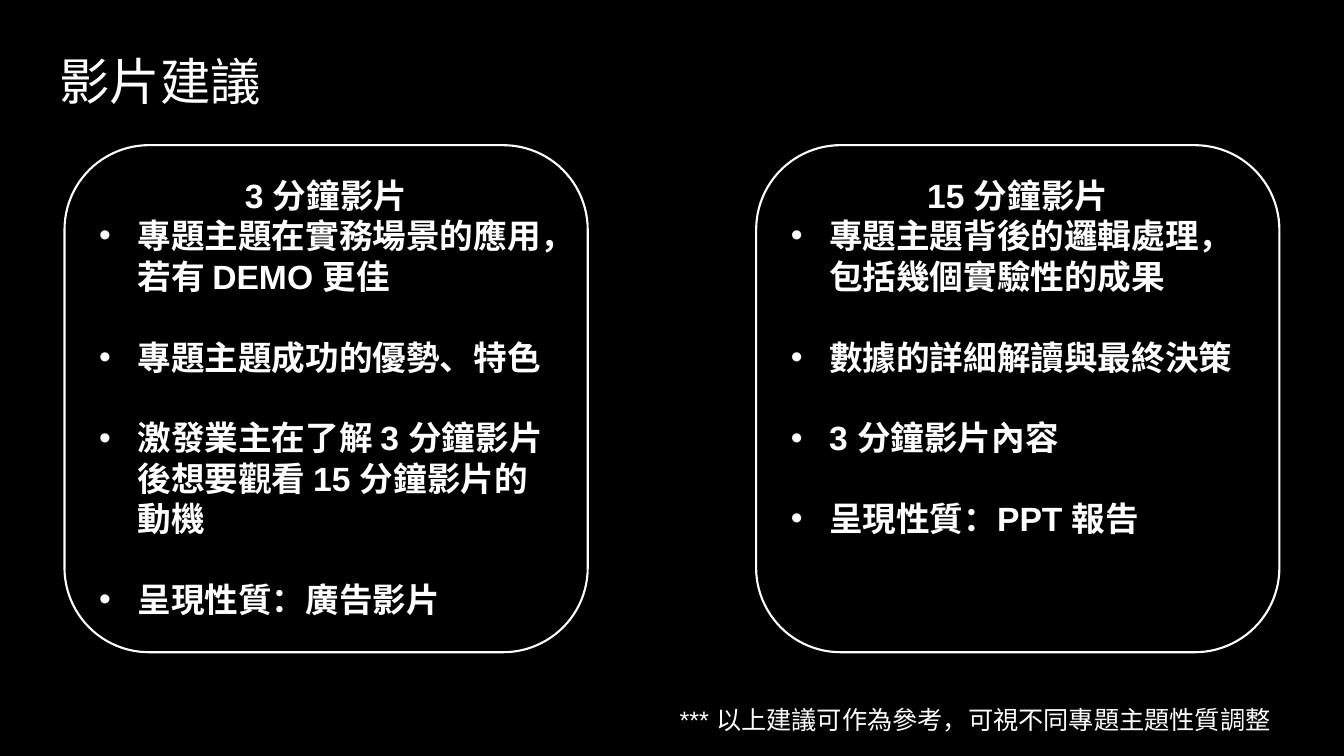
from lxml import etree
from pptx import Presentation
from pptx.dml.color import RGBColor
from pptx.enum.shapes import MSO_SHAPE
from pptx.enum.text import MSO_ANCHOR, PP_ALIGN
from pptx.oxml.ns import qn
from pptx.util import Inches, Pt

BLACK = RGBColor(0x00, 0x00, 0x00)
WHITE = RGBColor(0xFF, 0xFF, 0xFF)
ROUND = MSO_SHAPE.ROUNDED_RECTANGLE
TOP = MSO_ANCHOR.TOP
LEFT, MID, RIGHT = PP_ALIGN.LEFT, PP_ALIGN.CENTER, PP_ALIGN.RIGHT
WIDE, HIGH = Inches(13.33), Inches(7.5)
COLS = ROWS = 100
GAP = 29

CARDS = [
    ("3 分鐘影片", [
        "專題主題在實務場景的應用，若有 DEMO 更佳",
        "專題主題成功的優勢、特色",
        "激發業主在了解 3 分鐘影片後想要觀看 15 分鐘影片的動機",
        "呈現性質：廣告影片",
    ]),
    ("15 分鐘影片", [
        "專題主題背後的邏輯處理，包括幾個實驗性的成果",
        "數據的詳細解讀與最終決策",
        "3 分鐘影片內容",
        "呈現性質：PPT 報告",
    ]),
]


def write(para, text, size=24, bold=False, align=LEFT, gap=0, dot=False):
    """Fill a paragraph with formatted text."""
    para.alignment = align
    para.space_before = Pt(gap)
    run = para.add_run()
    run.text = text
    font = run.font
    font.name, font.size, font.bold = "Arial", Pt(size), bold
    font.color.rgb = WHITE
    if dot:
        props = para._p.get_or_add_pPr()
        props.set("marL", str(Inches(0.38)))
        props.set("indent", str(-Inches(0.38)))
        face = etree.SubElement(props, qn("a:buFont"))
        face.set("typeface", "Arial")
        etree.SubElement(props, qn("a:buChar")).set("char", "•")


class Deck:
    """Hold the slide and place elements on its grid."""

    def __init__(self, prs):
        """Add a blank black slide."""
        self.slide = prs.slides.add_slide(prs.slide_layouts[6])
        fill = self.slide.background.fill
        fill.solid()
        fill.fore_color.rgb = BLACK

    def place(self, col, row, cols, rows):
        """Turn grid cells into lengths."""
        return (int(WIDE * col / COLS), int(HIGH * row / ROWS),
                int(WIDE * cols / COLS), int(HIGH * rows / ROWS))

    def label(self, area, text, **style):
        """Add one line of plain text."""
        frame = self.slide.shapes.add_textbox(*self.place(*area)).text_frame
        frame.word_wrap = True
        write(frame.paragraphs[0], text, **style)

    def card(self, area, head, items):
        """Add an outlined card with a heading and bullets."""
        box = self.slide.shapes.add_shape(ROUND, *self.place(*area))
        box.shadow.inherit = False
        box.fill.background()
        box.line.color.rgb = WHITE
        box.line.width = Pt(1.5)
        frame = box.text_frame
        frame.word_wrap = True
        frame.vertical_anchor = TOP
        write(frame.paragraphs[0], head, bold=True, align=MID)
        for num, item in enumerate(items):
            write(frame.add_paragraph(), item, bold=True, dot=True,
                  gap=GAP if num else 0)


def main():
    """Build and save the slide."""
    prs = Presentation()
    prs.slide_width, prs.slide_height = WIDE, HIGH
    deck = Deck(prs)
    deck.label((3.68, 6, 92.65, 9.47), "影片建議", size=36)
    for num, (head, items) in enumerate(CARDS):
        deck.card((4.8 + 51.46 * num, 19.2, 38.93, 67.07), head, items)
    deck.label((38.26, 92.53, 57.01, 5.33),
               "*** 以上建議可作為參考，可視不同專題主題性質調整",
               size=18, align=RIGHT)
    prs.save("out.pptx")


if __name__ == "__main__":
    main()
